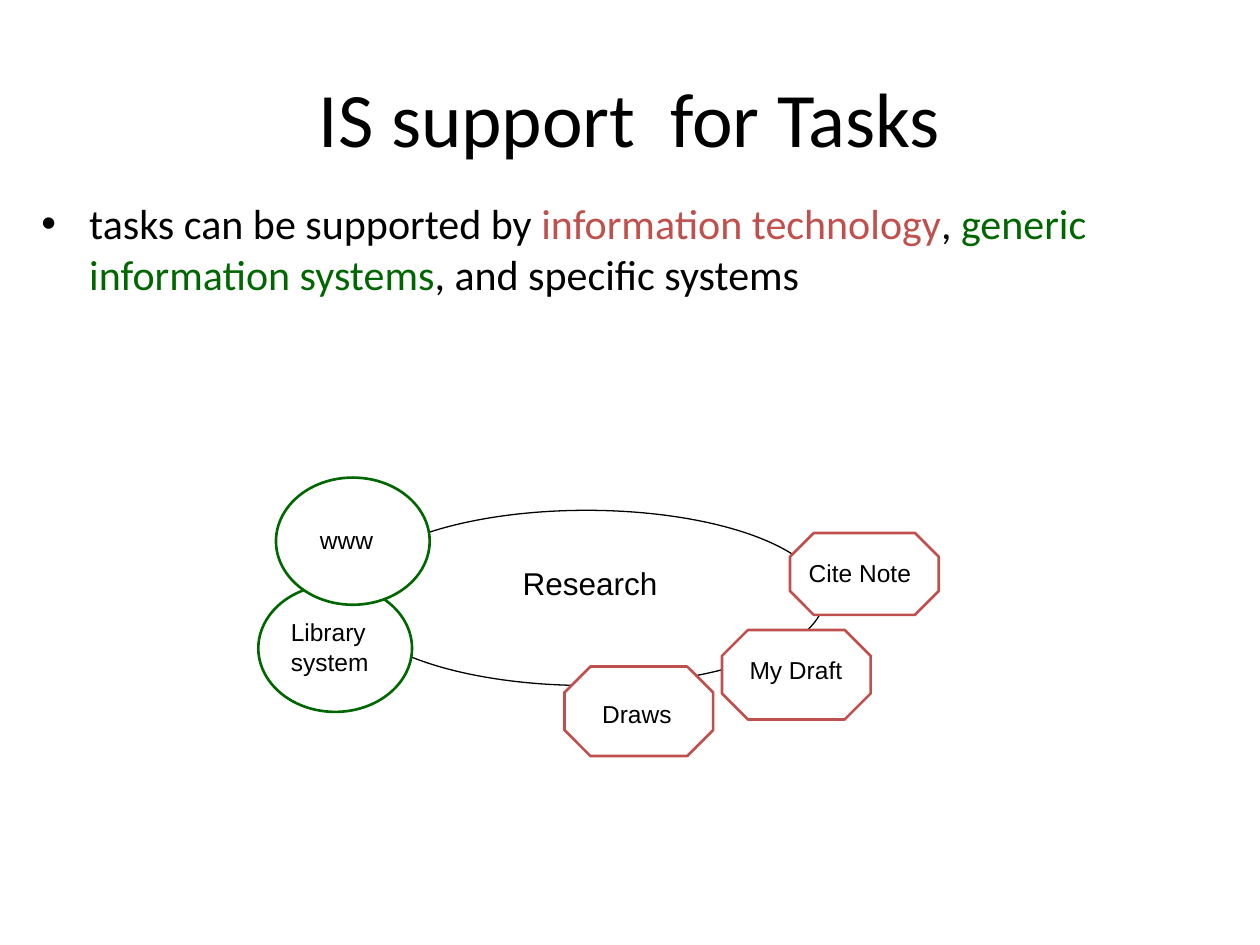
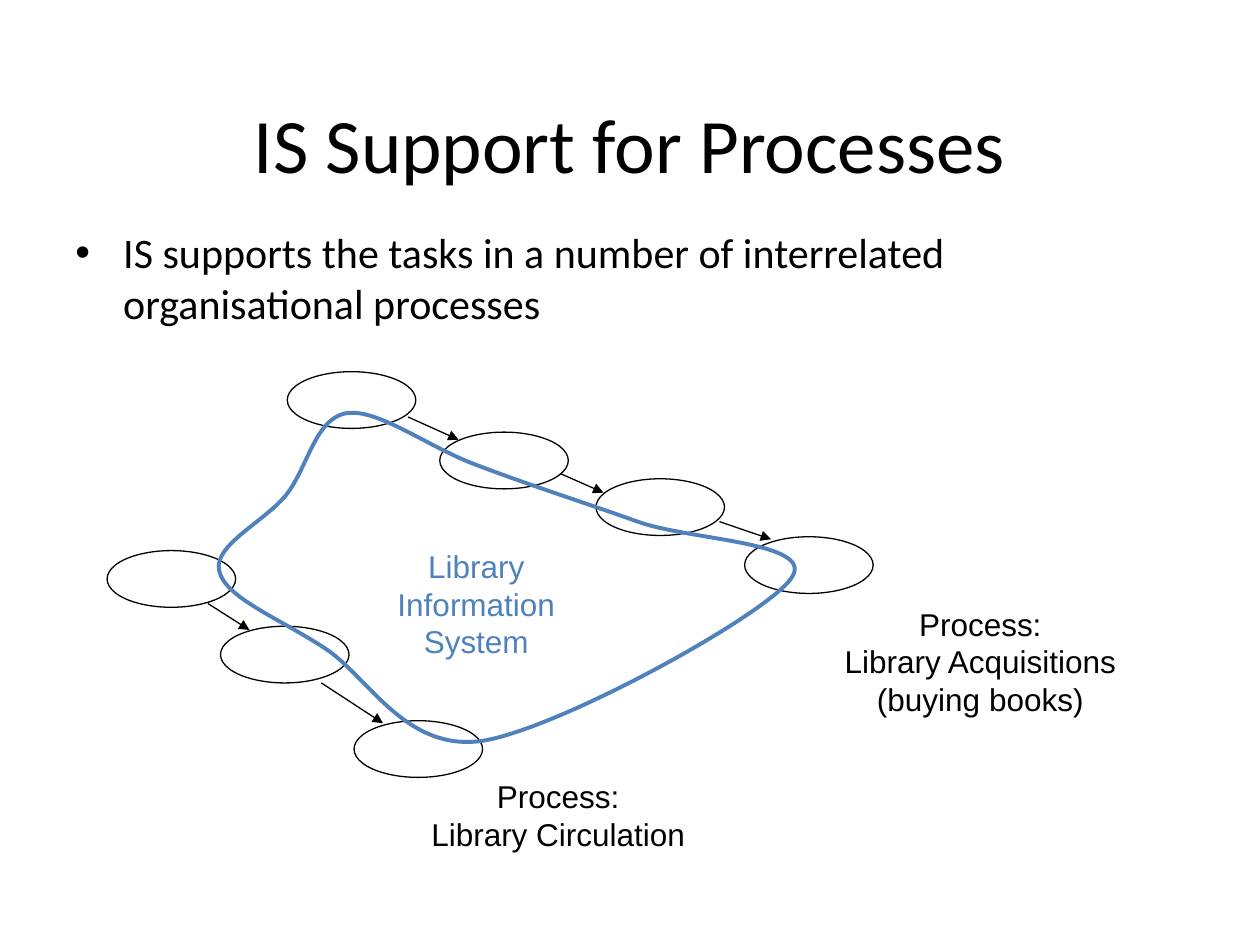
from dataclasses import dataclass
from typing import NamedTuple

from lxml import etree
from pptx import Presentation
from pptx.dml.color import RGBColor
from pptx.enum.shapes import MSO_CONNECTOR as CONN, MSO_SHAPE as SHAPE
from pptx.enum.text import MSO_ANCHOR as ANCHOR, MSO_AUTO_SIZE as FIT, PP_ALIGN as ALIGN
from pptx.oxml.ns import qn
from pptx.util import Emu, Pt

PX = 9144  # EMU in one px, 100 px to the inch


@dataclass(frozen=True)
class Theme:
    black: str = "000000"
    white: str = "FFFFFF"
    red: str = "C0504D"
    green: str = "006600"
    blue: str = "4F81BD"
    heading_font: str = "Calibri"
    label_font: str = "Arial"
    title_size: int = 44
    body_size: int = 24
    label_size: int = 18
    node_size: int = 14
    thin: float = 0.75
    medium: float = 1.5
    thick: float = 2.25


T = Theme()


class Box(NamedTuple):
    x: int
    y: int
    w: int
    h: int


class Run(NamedTuple):
    text: str
    color: str = T.black


class SystemNode(NamedTuple):
    kind: SHAPE
    box: Box
    color: str
    label: str
    label_box: Box


class Arrow(NamedTuple):
    x1: int
    y1: int
    x2: int
    y2: int


class Label(NamedTuple):
    text: str
    box: Box
    color: str = T.black


TITLE_BOX = Box(50, 30, 900, 125)

# Slide 1: systems around the research task
RESEARCH = Box(277, 405, 377, 139)
SYSTEMS = [
    SystemNode(SHAPE.OCTAGON, Box(573, 500, 118, 71), T.red, "My Draft", Box(585, 515, 102, 33)),
    SystemNode(SHAPE.OCTAGON, Box(627, 423, 118, 65), T.red, "Cite Note", Box(632, 438, 105, 33)),
    SystemNode(SHAPE.OCTAGON, Box(448, 529, 118, 71), T.red, "Draws", Box(468, 550, 82, 33)),
    SystemNode(SHAPE.OVAL, Box(205, 464, 122, 101), T.green, "Library\nsystem",
               Box(221, 485, 87, 57)),
    SystemNode(SHAPE.OVAL, Box(219, 379, 122, 101), T.green, "www", Box(244, 412, 65, 33)),
]

# Slide 2: two chains of tasks and the system that spans them
TASK_W, TASK_H = 102, 45
ACQUISITION_TASKS = [(228, 295), (349, 343), (473, 380), (591, 426)]
CIRCULATION_TASKS = [(85, 437), (175, 497), (281, 572)]
ARROWS = [
    Arrow(324, 331, 364, 349),
    Arrow(445, 376, 479, 391),
    Arrow(571, 414, 612, 428),
    Arrow(165, 479, 198, 500),
    Arrow(255, 542, 304, 574),
]
BOUNDARY_START = (227, 393)
BOUNDARY_CURVES = [  # two control points and an end point each
    ((244, 372), (250, 332), (275, 328)),
    ((300, 324), (340, 355), (378, 369)),
    ((417, 384), (464, 399), (506, 414)),
    ((547, 429), (649, 430), (628, 459)),
    ((608, 488), (445, 578), (383, 588)),
    ((321, 597), (292, 536), (257, 514)),
    ((222, 491), (178, 474), (174, 453)),
    ((169, 433), (210, 414), BOUNDARY_START),
]
LABELS = [
    Label("Library\nInformation\nSystem", Box(299, 429, 158, 100), T.blue),
    Label("Process:\nLibrary Acquisitions\n(buying books)", Box(647, 475, 262, 100)),
    Label("Process:\nLibrary Circulation", Box(322, 612, 242, 70)),
]


def emu(*lengths: int) -> list[Emu]:
    return [Emu(n * PX) for n in lengths]


def rgb(color: str) -> RGBColor:
    return RGBColor.from_string(color)


def add_text(s, box: Box, text: str | list[Run], *, size: int, font: str = T.label_font,
             color: str = T.black, align=ALIGN.LEFT, anchor=ANCHOR.TOP,
             wrap: bool = False, bullet: bool = False):
    """Text box; a string gives one paragraph a line, a list gives the runs of one."""
    sp = s.shapes.add_textbox(*emu(*box))
    tf = sp.text_frame
    tf.word_wrap = wrap
    tf.auto_size = FIT.NONE if wrap else FIT.SHAPE_TO_FIT_TEXT
    tf.vertical_anchor = anchor
    lines = [[Run(t, color)] for t in text.split("\n")] if isinstance(text, str) else [text]
    for i, runs in enumerate(lines):
        p = tf.paragraphs[0] if i == 0 else tf.add_paragraph()
        p.alignment = align
        if bullet:
            add_bullet(p)
        for run in runs:
            r = p.add_run()
            r.text = run.text
            r.font.name, r.font.size = font, Pt(size)
            r.font.color.rgb = rgb(run.color)
    return sp


def add_bullet(p, indent: int = 38) -> None:
    pPr = p._p.get_or_add_pPr()
    pPr.set("marL", str(indent * PX))
    pPr.set("indent", str(-indent * PX))
    etree.SubElement(pPr, qn("a:buFont")).set("typeface", "Arial")
    etree.SubElement(pPr, qn("a:buChar")).set("char", "•")


def style_shape(sp, color: str, width: float, fill: str | None = None) -> None:
    sp.shadow.inherit = False
    if fill:
        sp.fill.solid()
        sp.fill.fore_color.rgb = rgb(fill)
    else:
        sp.fill.background()
    sp.line.color.rgb = rgb(color)
    sp.line.width = Pt(width)


def add_node(s, kind: SHAPE, box: Box, color: str = T.black, width: float = T.thin,
             fill: str | None = None) -> None:
    sp = s.shapes.add_shape(kind, *emu(*box))
    if kind == SHAPE.OCTAGON:
        sp.adjustments[0] = 0.29
    style_shape(sp, color, width, fill)


def add_arrow(s, arrow: Arrow) -> None:
    line = s.shapes.add_connector(CONN.STRAIGHT, *emu(*arrow))
    line.line.color.rgb = rgb(T.black)
    line.line.width = Pt(T.thin)
    etree.SubElement(line.line._get_or_add_ln(), qn("a:tailEnd")).set("type", "triangle")
    etree.SubElement(line._element.spPr, qn("a:effectLst"))


def add_closed_curve(s, start: tuple, curves: list, color: str) -> None:
    builder = s.shapes.build_freeform(*start, scale=PX)
    builder.add_line_segments([pt for curve in curves for pt in curve], close=True)
    sp = builder.convert_to_shape()
    # Join each three line segments into one cubic curve
    segments = list(sp._element.iter(qn("a:lnTo")))
    for i in range(0, len(segments), 3):
        cubic = etree.Element(qn("a:cubicBezTo"))
        segments[i].addprevious(cubic)
        for segment in segments[i:i + 3]:
            cubic.append(segment[0])
            segment.getparent().remove(segment)
    style_shape(sp, color, T.thick)


def add_slide(prs, title: str, title_anchor, body: list[Run], body_box: Box):
    s = prs.slides.add_slide(prs.slide_layouts[6])
    add_text(s, TITLE_BOX, title, size=T.title_size, font=T.heading_font,
             align=ALIGN.CENTER, anchor=title_anchor, wrap=True)
    add_text(s, body_box, body, size=T.body_size, font=T.heading_font, wrap=True, bullet=True)
    return s


def build_tasks_slide(prs) -> None:
    body = [Run("tasks can be supported by "), Run("information technology", T.red), Run(", "),
            Run("generic information systems", T.green), Run(", and specific systems")]
    s = add_slide(prs, "IS support  for Tasks", ANCHOR.MIDDLE, body, Box(23, 152, 951, 533))
    add_node(s, SHAPE.OVAL, RESEARCH)
    add_text(s, Box(405, 443, 133, 40), "Research", size=T.label_size)
    for node in SYSTEMS:
        add_node(s, node.kind, node.box, node.color, T.medium, T.white)
        add_text(s, node.label_box, node.label, size=T.node_size)


def build_processes_slide(prs) -> None:
    body = [Run("IS supports the tasks in a number of interrelated organisational processes")]
    s = add_slide(prs, "IS Support for Processes", ANCHOR.BOTTOM, body, Box(50, 175, 900, 495))
    for x, y in ACQUISITION_TASKS + CIRCULATION_TASKS:
        add_node(s, SHAPE.OVAL, Box(x, y, TASK_W, TASK_H))
    for arrow in ARROWS:
        add_arrow(s, arrow)
    add_closed_curve(s, BOUNDARY_START, BOUNDARY_CURVES, T.blue)
    for label in LABELS:
        add_text(s, label.box, label.text, size=T.label_size, color=label.color,
                 align=ALIGN.CENTER)


def main() -> None:
    prs = Presentation()
    prs.slide_width, prs.slide_height = emu(1000, 750)
    build_tasks_slide(prs)
    build_processes_slide(prs)
    prs.save("out.pptx")


if __name__ == "__main__":
    main()
